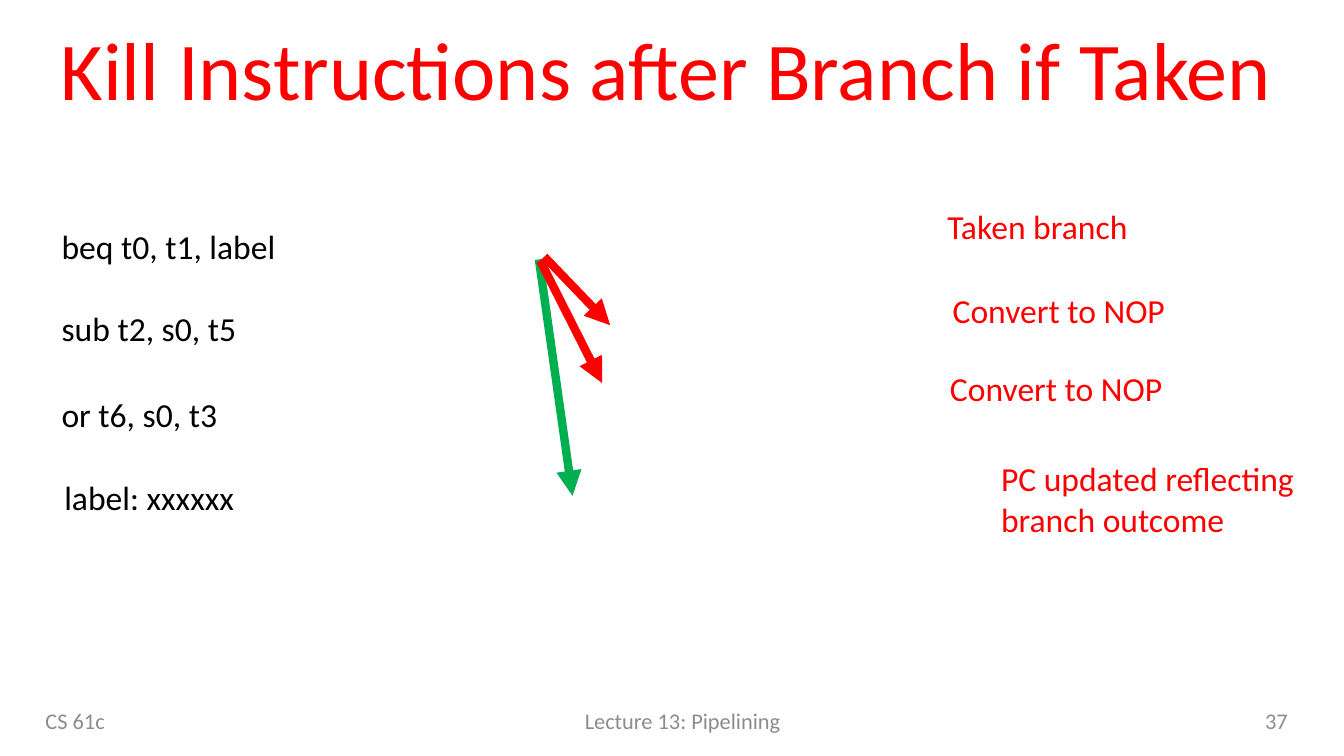
from lxml.etree import SubElement
from pptx import Presentation
from pptx.dml.color import RGBColor
from pptx.enum.shapes import MSO_CONNECTOR
from pptx.enum.text import MSO_ANCHOR, MSO_AUTO_SIZE, PP_ALIGN
from pptx.oxml.ns import qn
from pptx.util import Emu, Pt

PX = 914400 // 200  # 200 px to the inch

BLACK = RGBColor(0x00, 0x00, 0x00)
RED = RGBColor(0xFF, 0x00, 0x00)
GREEN = RGBColor(0x00, 0xB0, 0x50)
GRAY = RGBColor(0x8C, 0x8C, 0x8C)

INSTRUCTIONS = [
    ("beq t0, t1, label", 72, 326, 362),
    ("sub t2, s0, t5", 72, 448, 302),
    ("or t6, s0, t3", 72, 576, 274),
    ("label: xxxxxx", 76, 700, 296),
]
OUTCOMES = [
    ("Taken branch", 1390, 296, 80),
    ("Convert to NOP", 1398, 422, 80),
    ("Convert to NOP", 1394, 538, 80),
    ("PC updated reflecting branch outcome", 1470, 672, 142),
]
FOOTERS = [
    ("CS 61c", 48, 492, PP_ALIGN.LEFT),
    ("Lecture 13: Pipelining", 584, 864, PP_ALIGN.CENTER),
    ("37", 1486, 450, PP_ALIGN.RIGHT),
]
ARROWS = [
    ((802, 386), (852, 738), GREEN),
    ((810, 382), (908, 484), RED),
    ((804, 388), (896, 570), RED),
]


def px(*lengths):
    return [Emu(length * PX) for length in lengths]


def add_text(page, text, place, size, color, align=PP_ALIGN.LEFT,
             anchor=MSO_ANCHOR.TOP, wrap=True):
    """Add a one-paragraph text box at place (left, top, width, height) and return its paragraph."""
    frame = page.shapes.add_textbox(*px(*place)).text_frame
    frame.word_wrap = wrap
    frame.vertical_anchor = anchor
    frame.auto_size = (MSO_AUTO_SIZE.SHAPE_TO_FIT_TEXT
                       if anchor == MSO_ANCHOR.TOP else MSO_AUTO_SIZE.NONE)
    para = frame.paragraphs[0]
    para.text = text
    para.alignment = align
    para.font.name = "Calibri"
    para.font.size = Pt(size)
    para.font.color.rgb = color
    return para


def add_arrow(page, start, end, color):
    arrow = page.shapes.add_connector(MSO_CONNECTOR.STRAIGHT, *px(*start, *end))
    arrow.line.color.rgb = color
    arrow.line.width = Pt(4.5)
    properties = arrow._element.spPr
    SubElement(properties.find(qn("a:ln")), qn("a:tailEnd"), type="triangle")
    SubElement(properties, qn("a:effectLst"))


def main():
    deck = Presentation()
    deck.slide_width, deck.slide_height = px(2000, 1125)
    page = deck.slides.add_slide(deck.slide_layouts[6])

    title = add_text(page, "Kill Instructions after Branch if Taken", (48, 24, 1888, 172),
                     44, RED, PP_ALIGN.CENTER, MSO_ANCHOR.MIDDLE)
    title.line_spacing = 0.9

    for text, left, top, width in INSTRUCTIONS:
        add_text(page, text, (left, top, width, 80), 18, BLACK, wrap=False)
    for text, left, top, height in OUTCOMES:
        add_text(page, text, (left, top, 508, height), 18, RED)
    for start, end, color in ARROWS:
        add_arrow(page, start, end, color)
    for text, left, width, align in FOOTERS:
        add_text(page, text, (left, 1042, width, 60), 12, GRAY, align, MSO_ANCHOR.MIDDLE)

    deck.save("out.pptx")


if __name__ == "__main__":
    main()
